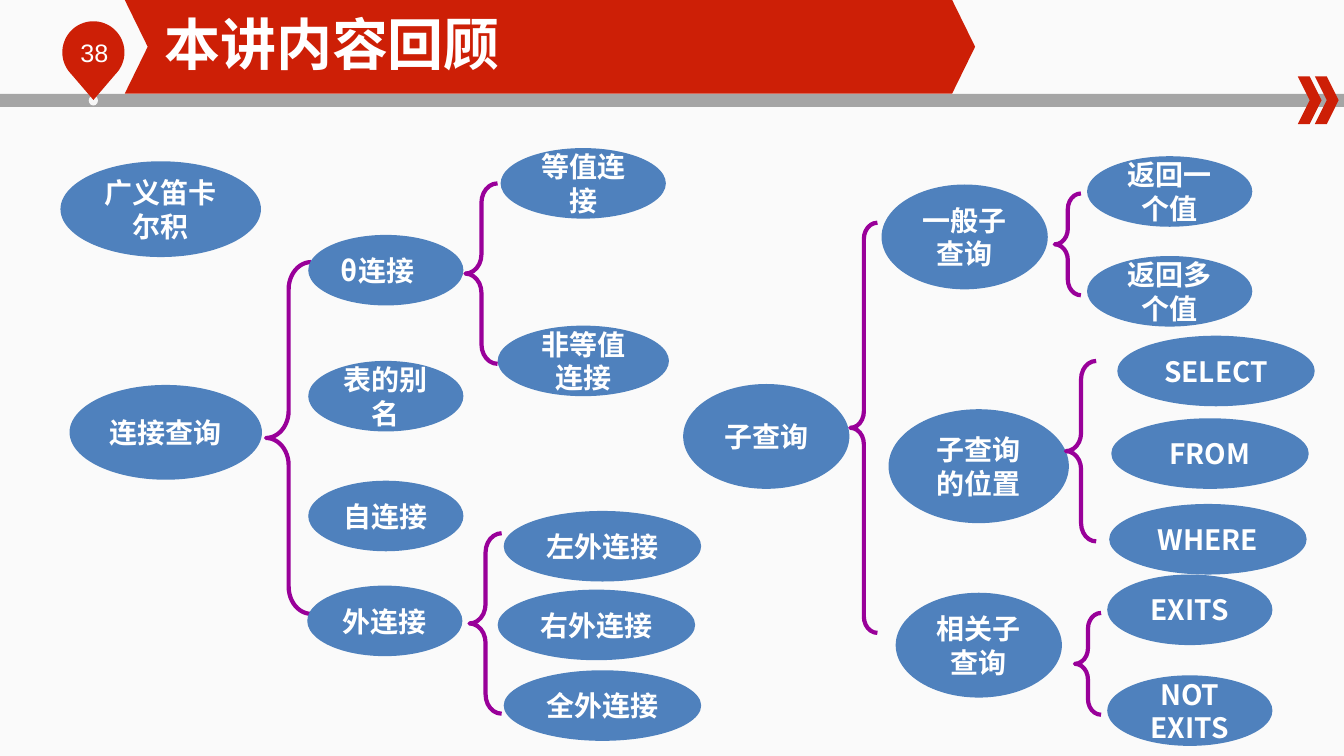
from math import cos, radians, sin

from lxml.etree import SubElement
from pptx import Presentation
from pptx.dml.color import RGBColor
from pptx.enum.shapes import MSO_SHAPE
from pptx.enum.text import MSO_ANCHOR, MSO_AUTO_SIZE, PP_ALIGN
from pptx.oxml.ns import qn
from pptx.util import Pt

COLORS = {
    "red": "CD1F06", "gray": "A5A5A5", "dot": "F6F6F6", "oval": "4F81BD",
    "brace": "990099", "white": "FFFFFF", "top": "FAFAFA", "bottom": "FCFCFC",
}
CJK_FONT = "Noto Sans CJK SC"
WIDTH, HEIGHT = 960.48, 540
OVAL_HEIGHT = 50.4

# Nodes: label, (left, top, width, height), then the brace box and children of a branch.
# All boxes are relative to the corner of their tree.
JOIN_TREE = [
    ("广义笛卡尔积", (3.2, 15.2, 143.3, 68.4)),
    ("连接查询", (9.7, 175, 137.5, 67.7), (150.1, 87.2, 32.4, 251.3), [
        ("θ连接", (180.3, 67.8, 110.9, OVAL_HEIGHT), (292.6, 31, 23, 128.9), [
            ("等值连接", (317.8, 5.8, 118.1, OVAL_HEIGHT)),
            ("非等值连接", (315.7, 132.6, 122.4, OVAL_HEIGHT)),
        ]),
        ("表的别名", (180.3, 157.8, 110.9, OVAL_HEIGHT)),
        ("自连接", (180.3, 243.4, 110.9, OVAL_HEIGHT)),
        ("外连接", (179.6, 318.3, 110.9, OVAL_HEIGHT), (295.5, 280.9, 23, 128.9), [
            ("左外连接", (320, 265, 141.1, OVAL_HEIGHT)),
            ("右外连接", (315.7, 321.2, 141.1, OVAL_HEIGHT)),
            ("全外连接", (320, 378.8, 141.1, OVAL_HEIGHT)),
        ]),
    ]),
]
SUBQUERY_TREE = [
    ("子查询", (8.2, 174.3, 118.8, 74.9), (127.7, 59.1, 19.4, 293), [
        ("一般子查询", (150, 31.8, 118.8, 74.9), (273.8, 38.2, 18.7, 72.7), [
            ("返回一个值", (296.9, 11.6, 118.1, OVAL_HEIGHT)),
            ("返回多个值", (296.9, 82.9, 118.1, OVAL_HEIGHT)),
        ]),
        ("子查询的位置", (155, 192.3, 128.9, 81.4), (281.8, 157.8, 21.6, 128.9), [
            ("SELECT", (318.5, 139.8, 141.1, OVAL_HEIGHT)),
            ("FROM", (314.2, 198.8, 141.1, OVAL_HEIGHT)),
            ("WHERE", (312.7, 260, 141.1, OVAL_HEIGHT)),
        ]),
        ("相关子查询", (160.1, 323.4, 118.8, 74.9), (288.2, 337.8, 18.7, 72.7), [
            ("EXITS", (311.3, 310.4, 118.1, OVAL_HEIGHT)),
            ("NOT EXITS", (311.3, 382.4, 118.1, OVAL_HEIGHT)),
        ]),
    ]),
]


def rgb(name):
    return RGBColor.from_string(COLORS[name])


def paint(shape, color):
    shape.shadow.inherit = False
    shape.fill.solid()
    shape.fill.fore_color.rgb = rgb(color)
    shape.line.fill.background()


def add_shape(page, kind, box, color):
    shape = page.shapes.add_shape(kind, *map(Pt, box))
    paint(shape, color)
    return shape


def add_outline(page, points, color):
    corners = [(Pt(x), Pt(y)) for x, y in points]
    builder = page.shapes.build_freeform(*corners[0], scale=1.0)
    builder.add_line_segments(corners[1:], close=True)
    paint(builder.convert_to_shape(), color)


def add_chevron(page, left, top, width, height, point):
    right, middle, bottom = left + width, top + height / 2, top + height
    add_outline(page, [(left, top), (right - point, top), (right, middle),
                       (right - point, bottom), (left, bottom), (left + point, middle)], "red")


def write(shape, text, size, align, font=CJK_FONT, bold=True):
    para = shape.text_frame.paragraphs[0]
    para.text = text
    para.alignment = align
    para.font.size = Pt(size)
    para.font.bold = bold
    para.font.name = font
    para.font.color.rgb = rgb("white")
    defaults = para._p.pPr.find(qn("a:defRPr"))
    SubElement(defaults, qn("a:ea")).set("typeface", font)


def draw_background(page):
    fill = page.background.fill
    fill.gradient()
    fill.gradient_angle = 270
    for stop, name in zip(fill.gradient_stops, ("top", "bottom")):
        stop.color.rgb = rgb(name)


def draw_header(page, left, top, width):
    # Rule and numbered pin
    add_shape(page, MSO_SHAPE.RECTANGLE, (left, top + 67, width, 9.4), "gray")
    add_shape(page, MSO_SHAPE.OVAL, (left + 63.4, top + 68.2, 6.6, 7.2), "dot")
    center_x, center_y, radius = left + 66.8, top + 37.4, 22.2
    arc = [(center_x + radius * cos(radians(angle)), center_y + radius * sin(radians(angle)))
           for angle in range(135, 406, 5)]
    add_outline(page, arc + [(center_x, top + 71.4)], "red")
    number = page.shapes.add_textbox(Pt(left + 50.4), Pt(top + 23), Pt(54.7), Pt(28.8))
    number.text_frame.word_wrap = True
    write(number, "38", 18, PP_ALIGN.LEFT, "Arial", False)

    # Arrows at the right edge and title banner
    for offset in (33, 20.8):
        add_chevron(page, left + width - offset, top + 54.6, 17, 34, 8.5)
    add_chevron(page, left + 89.2, top, 607.7, 66.8, 16.4)

    # Title, brought in front of the banner
    title = page.shapes.title
    title.left, title.top = Pt(left + 117.4), Pt(top + 6.5)
    title.width, title.height = Pt(476), Pt(48.2)
    frame = title.text_frame
    frame.margin_left = frame.margin_right = frame.margin_top = frame.margin_bottom = 0
    frame.vertical_anchor = MSO_ANCHOR.MIDDLE
    frame.auto_size = MSO_AUTO_SIZE.NONE
    write(title, "本讲内容回顾", 40, PP_ALIGN.LEFT)
    title.element.getparent().append(title.element)


def draw_tree(page, left, top, nodes):
    def place(box):
        return (left + box[0], top + box[1], *box[2:])

    for label, box, *branch in nodes:
        oval = add_shape(page, MSO_SHAPE.OVAL, place(box), "oval")
        oval.text_frame.word_wrap = True
        oval.text_frame.vertical_anchor = MSO_ANCHOR.MIDDLE
        write(oval, label, 20, PP_ALIGN.LEFT if label == "θ连接" else PP_ALIGN.CENTER)
        if branch:
            brace_box, children = branch
            brace = add_shape(page, MSO_SHAPE.LEFT_BRACE, place(brace_box), "brace")
            brace.fill.background()
            brace.line.color.rgb = rgb("brace")
            brace.line.width = Pt(3)
            brace.adjustments[0] = 0.6
            draw_tree(page, left, top, children)


def main():
    deck = Presentation()
    deck.slide_width, deck.slide_height = Pt(WIDTH), Pt(HEIGHT)
    page = deck.slides.add_slide(deck.slide_layouts[5])
    draw_background(page)
    draw_header(page, 0, 0, WIDTH)
    draw_tree(page, 40, 100, JOIN_TREE)
    draw_tree(page, 480, 100, SUBQUERY_TREE)
    deck.save("out.pptx")


if __name__ == "__main__":
    main()
